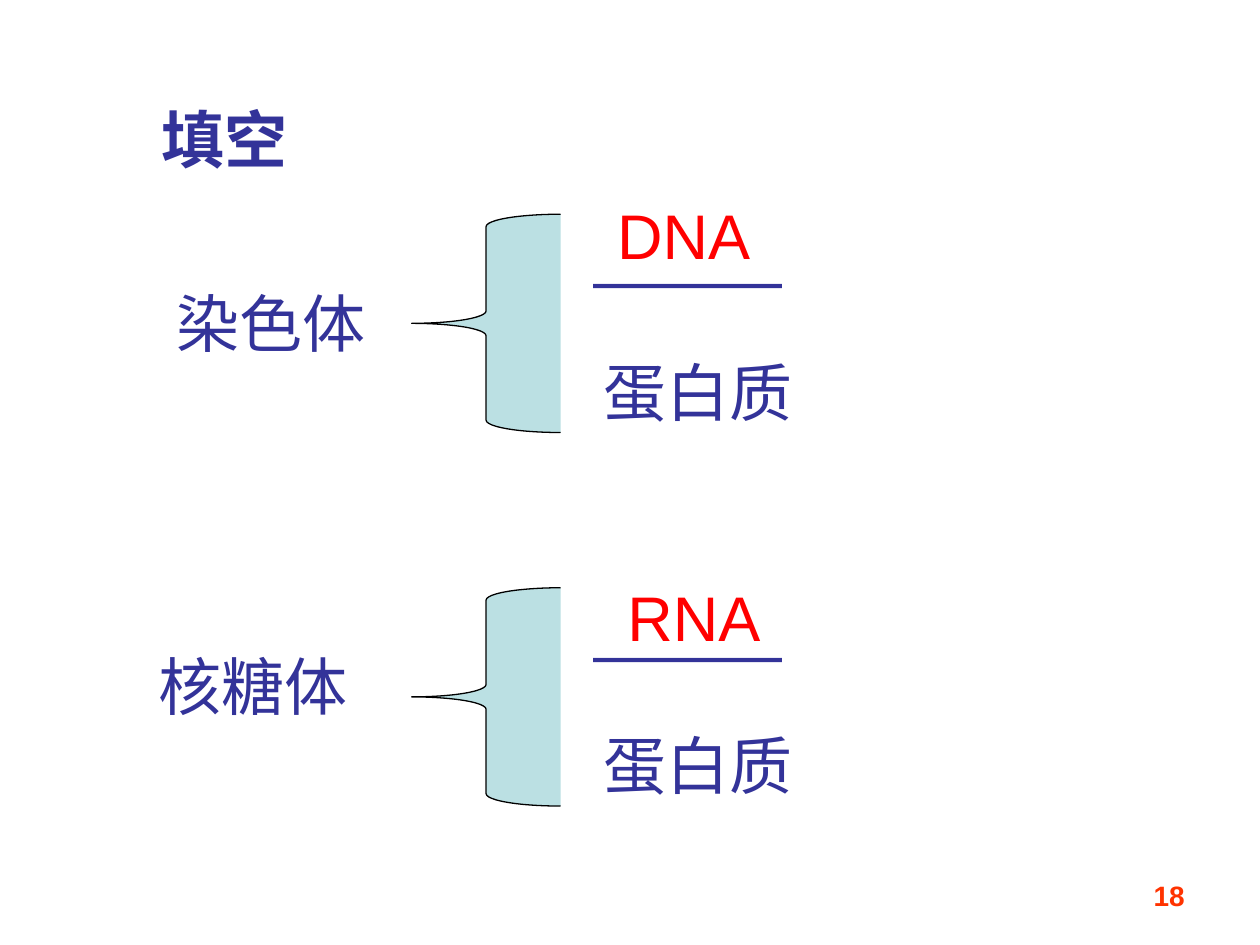
"""Build a fill-in-the-blank slide on chromosomes and ribosomes."""
from lxml import etree
from pptx import Presentation
from pptx import util as u
from pptx.dml.color import RGBColor
from pptx.enum import shapes, text
from pptx.oxml.ns import qn

NAVY = RGBColor(0x33, 0x33, 0x99)
RED = RGBColor(0xFF, 0x00, 0x00)
ORANGE = RGBColor(0xFF, 0x33, 0x00)
TEAL = RGBColor(0xBB, 0xE0, 0xE3)
BLACK = RGBColor(0, 0, 0)
STEP = 7.53
BODY = {"name": "Arial", "size": u.Pt(36), "bold": False}
TITLE = {"name": "Noto Sans CJK SC", "size": u.Pt(36), "bold": True}
PAGE = {"name": "Arial", "size": u.Pt(16), "bold": True}


def add_text(slide, words, box, color=NAVY, style=BODY, align=text.PP_ALIGN.LEFT):
    """Add one line of styled text in a box given in centimetres."""
    frame = slide.shapes.add_textbox(*map(u.Cm, box)).text_frame
    frame.word_wrap = True
    para = frame.paragraphs[0]
    para.alignment = align
    run = para.add_run()
    run.text = words
    for key, value in style.items():
        setattr(run.font, key, value)
    run.font.color.rgb = color
    etree.SubElement(run.font._element, qn("a:ea"), typeface=style["name"])


def add_brace(slide, top):
    """Add a filled left brace at the given height."""
    brace = slide.shapes.add_shape(
        shapes.MSO_SHAPE.LEFT_BRACE, u.Cm(8.3), u.Cm(top), u.Cm(3), u.Cm(4.4))
    brace.shadow.inherit = False
    brace.fill.solid()
    brace.fill.fore_color.rgb = TEAL
    brace.line.color.rgb = BLACK
    brace.line.width = u.Pt(0.75)


def add_group(slide, top, term, spot, answer, place):
    """Add a term, its brace, the blank with its answer and the protein."""
    add_brace(slide, top)
    add_text(slide, term, (*spot, 6.2, 1.78))
    add_text(slide, "蛋白质", (11.91, top + 2.68, 6.2, 1.78))
    add_text(slide, "———", (11.71, top + 0.39, 5.6, 1.78))
    add_text(slide, answer, (*place, 4.3, 1.78), RED)


def main():
    """Build and save the slide."""
    deck = Presentation()
    deck.slide_width, deck.slide_height = u.Cm(25.4), u.Cm(19.05)
    slide = deck.slides.add_slide(deck.slide_layouts[6])
    add_text(slide, "填空", (3, 1.9, 4.7, 1.78), style=TITLE)
    top = 4.32
    add_group(slide, top, "染色体", (3.3, 5.61), "DNA", (12.19, 3.84))
    add_group(slide, top + STEP, "核糖体", (2.95, 12.93), "RNA", (12.4, 11.53))
    add_text(slide, "18", (18.21, 17.58, 5.92, 0.74), ORANGE, PAGE,
             text.PP_ALIGN.RIGHT)
    deck.save("out.pptx")


if __name__ == "__main__":
    main()
